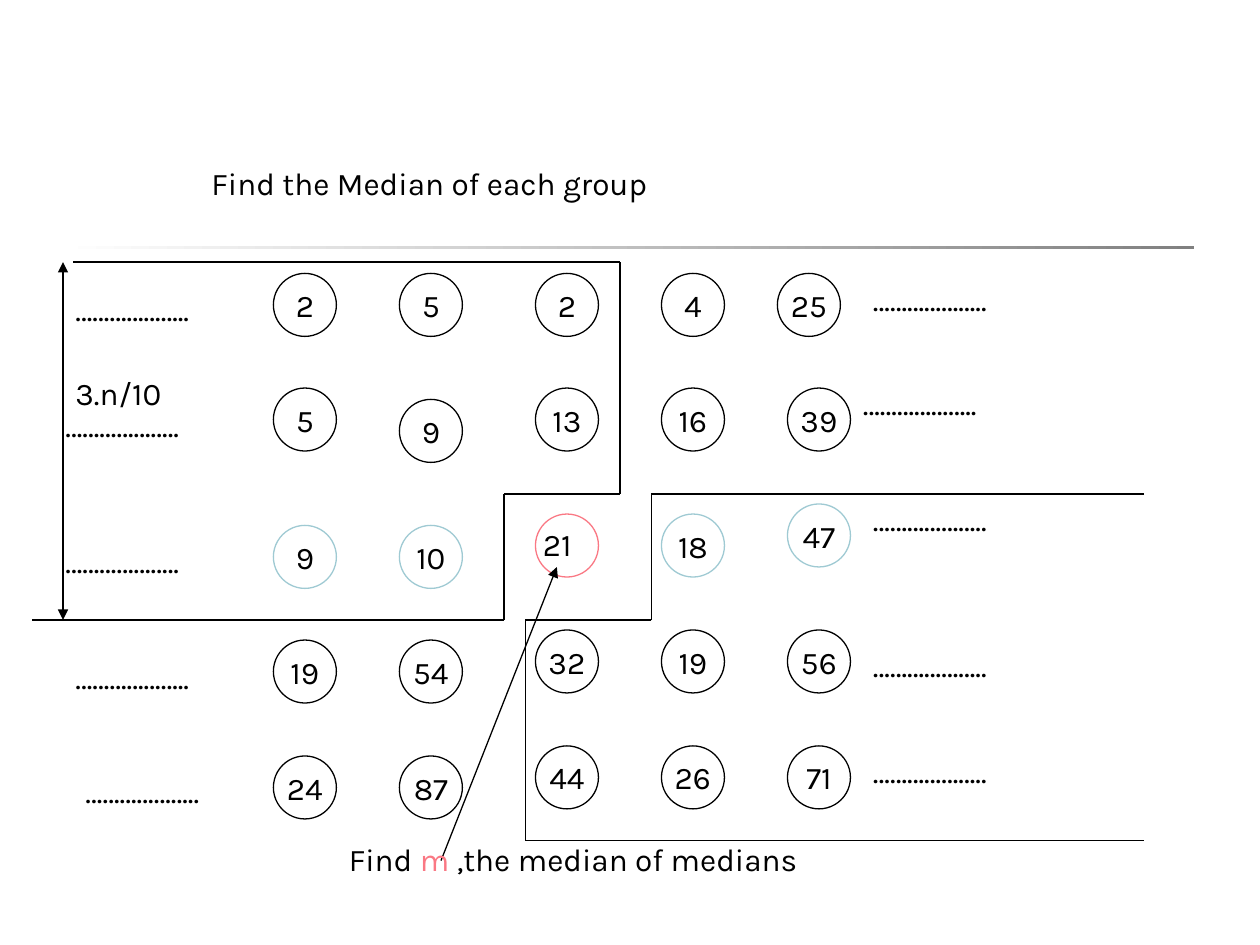
from lxml import etree
from pptx import Presentation
from pptx.dml.color import RGBColor
from pptx.enum.shapes import MSO_CONNECTOR, MSO_SHAPE
from pptx.enum.text import MSO_ANCHOR, MSO_AUTO_SIZE, PP_ALIGN
from pptx.oxml.ns import qn
from pptx.util import Inches, Pt

OVAL, RECT = MSO_SHAPE.OVAL, MSO_SHAPE.RECTANGLE
LINE = MSO_CONNECTOR.STRAIGHT
MIDDLE, CENTER = MSO_ANCHOR.MIDDLE, PP_ALIGN.CENTER
GROW = MSO_AUTO_SIZE.SHAPE_TO_FIT_TEXT
BLACK, WHITE, GRAY, TEAL, PINK = "000000", "FFFFFF", "808080", "9FCAD3", "FA7884"
FONT, SIZE, SPACE, DOTS = "Karla", 18, 11.2, "……………….."

COLUMNS = [
    (2.17, [2.17, 3.08, 4.17, 5.08, 6], [2, 5, 9, 19, 24]),
    (3.17, [2.17, 3.17, 4.17, 5.08, 6], [5, 9, 10, 54, 87]),
    (4.25, [2.17, 3.08, 4.08, 5, 5.92], [2, 13, "", 32, 44]),
    (5.25, [2.17, 3.08, 4.08, 5, 5.92], [4, 16, 18, 19, 26]),
    (6.25, [2.17, 3.08, 4, 5, 5.92], [25, 39, 47, 56, 71]),
]
GAPS = [
    (0.5, 2.25), (0.42, 3.17), (0.42, 4.25), (0.5, 5.17), (0.58, 6.08),
    (6.83, 2.17), (6.75, 3), (6.83, 3.92), (6.83, 5.08), (6.83, 5.92),
]
SMALLER = [(0.58, 2.08), (4.92, 2.08), (4.92, 3.92), (4, 3.92), (4, 4.92), (0.25, 4.92)]
LARGER = [(9.08, 3.92), (5.17, 3.92), (5.17, 4.92), (4.17, 4.92), (4.17, 6.67), (9.08, 6.67)]


def color(code):
    """Turn a hex string into a colour."""
    return RGBColor.from_string(code)


def add_run(para, text, code=BLACK):
    """Add one styled run to a paragraph."""
    run = para.add_run()
    run.text = text
    run.font.name, run.font.size = FONT, Pt(SIZE)
    run.font.color.rgb = color(code)


def add_text(slide, x, y, w, h, runs, space=SPACE, wrap=True):
    """Add a text box of (text, colour) runs."""
    frame = slide.shapes.add_textbox(Inches(x), Inches(y), Inches(w), Inches(h)).text_frame
    frame.word_wrap, frame.auto_size = wrap, GROW
    para = frame.paragraphs[0]
    if space:
        para.space_before = Pt(space)
    for text, code in runs:
        add_run(para, text, code)


def add_rule(slide):
    """Add the fading bar under the heading."""
    bar = slide.shapes.add_shape(RECT, Inches(0.48), Inches(1.95), Inches(9), Inches(0.03))
    bar.shadow.inherit = False
    bar.line.fill.background()
    bar.fill.gradient()
    bar.fill.gradient_angle = 0
    for stop, code in zip(bar.fill.gradient_stops, (WHITE, GRAY)):
        stop.color.rgb = color(code)


def add_circle(slide, x, y, text, edge):
    """Add one numbered circle."""
    ring = slide.shapes.add_shape(OVAL, Inches(x), Inches(y), Inches(0.5), Inches(0.5))
    ring.shadow.inherit = False
    ring.fill.solid()
    ring.fill.fore_color.rgb = color(WHITE)
    ring.line.color.rgb = color(edge)
    ring.line.width = Pt(0.75)
    if text:
        frame = ring.text_frame
        frame.word_wrap, frame.vertical_anchor = False, MIDDLE
        frame.paragraphs[0].alignment = CENTER
        add_run(frame.paragraphs[0], text)


def add_line(slide, start, end, tips=()):
    """Add a thin line with triangles at the named ends."""
    points = [Inches(n) for n in (*start, *end)]
    link = slide.shapes.add_connector(LINE, *points)
    link.line.color.rgb = color(BLACK)
    link.line.width = Pt(0.75)
    for tip in tips:
        etree.SubElement(link.line._get_or_add_ln(), qn(tip), type="triangle")
    etree.SubElement(link._element.spPr, qn("a:effectLst"))


def add_path(slide, points):
    """Join points with straight lines."""
    for start, end in zip(points, points[1:]):
        add_line(slide, start, end)


def add_grid(slide):
    """Add the columns of sorted groups with their medians marked."""
    for x, tops, values in COLUMNS:
        for row, (y, value) in enumerate(zip(tops, values)):
            edge = BLACK if row != 2 else TEAL if value else PINK
            left = 6.17 if value == 25 else x
            add_circle(slide, left, y, str(value), edge)


def main():
    """Build and save the slide."""
    deck = Presentation()
    deck.slide_width, deck.slide_height = Inches(10), Inches(7.5)
    slide = deck.slides.add_slide(deck.slide_layouts[6])
    add_rule(slide)
    add_grid(slide)
    for x, y in GAPS:
        add_text(slide, x, y, 1.58, 0.7, [(DOTS, BLACK)])
    add_text(slide, 1.58, 1.25, 6.17, 0.4, [("Find the Median of each group", BLACK)])
    add_path(slide, SMALLER)
    add_path(slide, LARGER)
    add_line(slide, (4.42, 4.5), (3.5, 6.83), ["a:headEnd"])
    goal = [("Find ", BLACK), ("m", PINK), (" ,the median of medians", BLACK)]
    add_text(slide, 2.67, 6.62, 4.11, 0.4, goal, space=0, wrap=False)
    add_text(slide, 4.21, 4.12, 0.51, 0.4, [("21", BLACK)], space=0, wrap=False)
    add_line(slide, (0.5, 2.08), (0.5, 4.92), ["a:headEnd", "a:tailEnd"])
    add_text(slide, 0.5, 2.92, 1, 0.4, [("3.n/10", BLACK)])
    deck.save("out.pptx")


if __name__ == "__main__":
    main()
